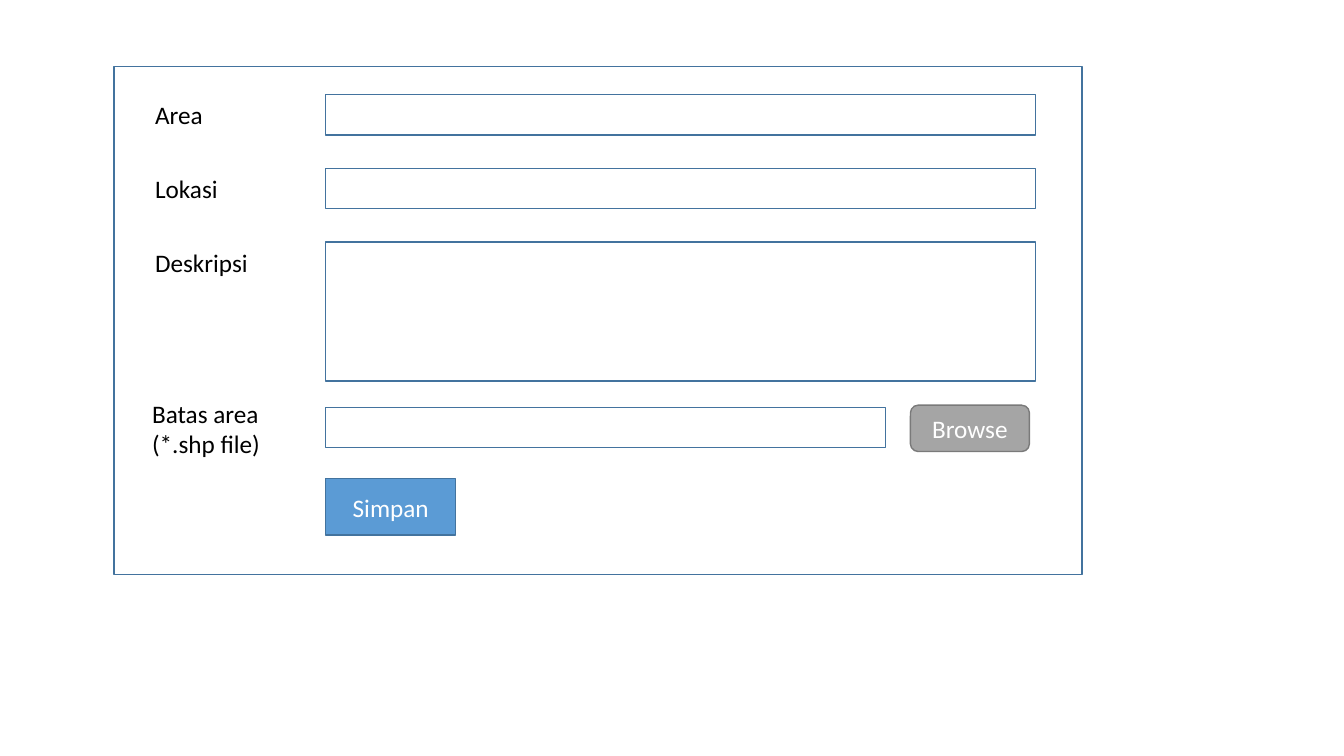
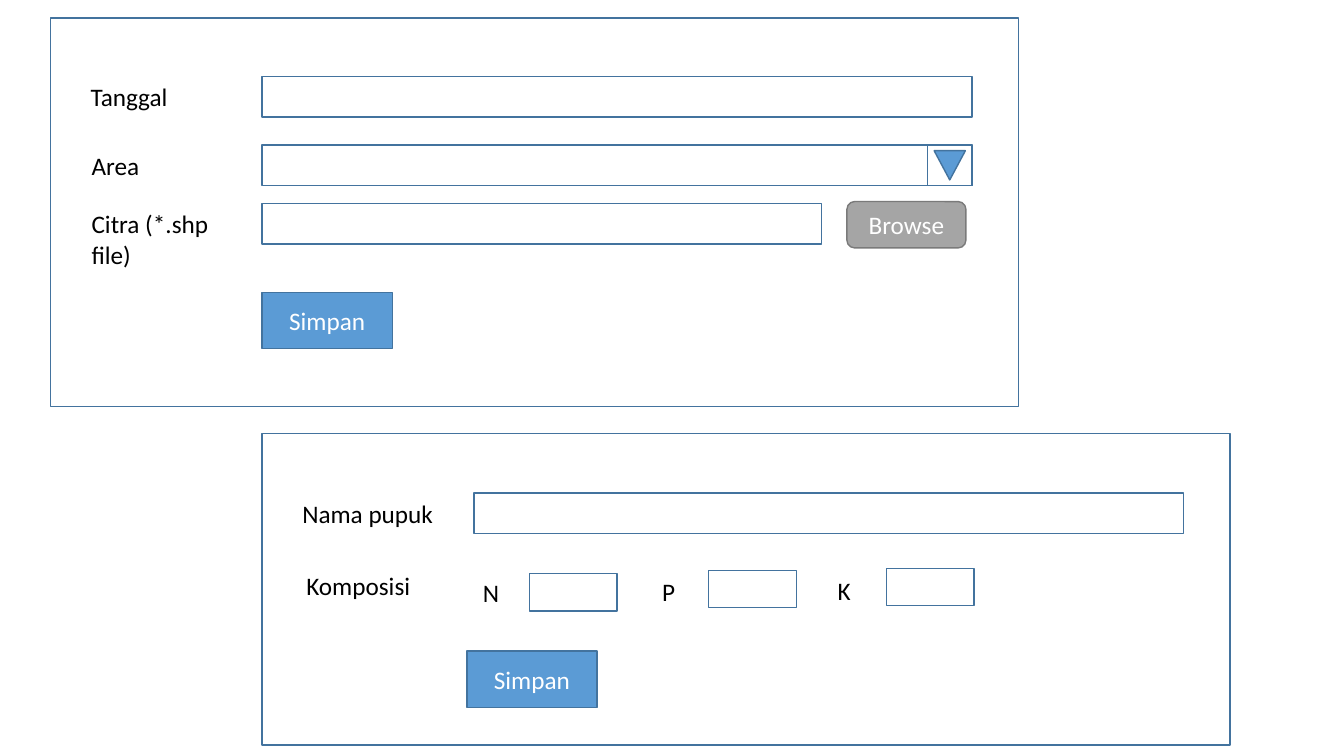
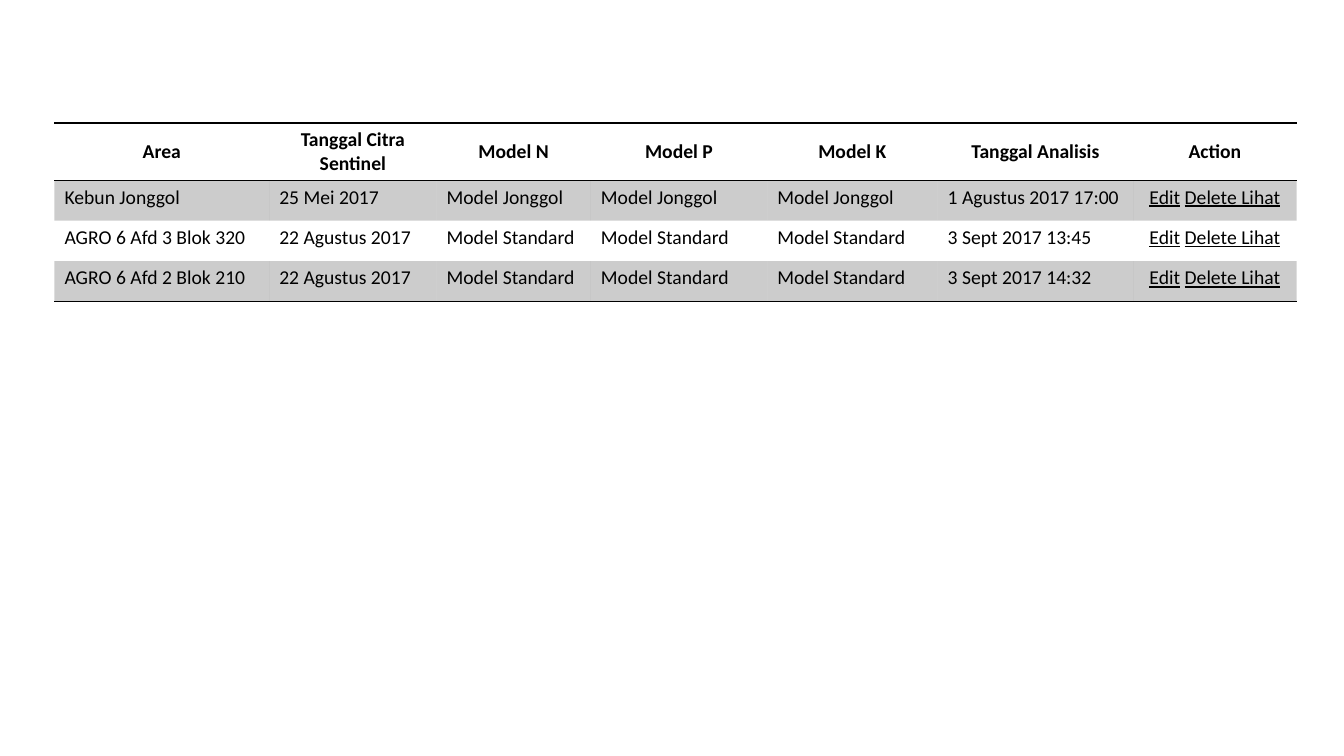
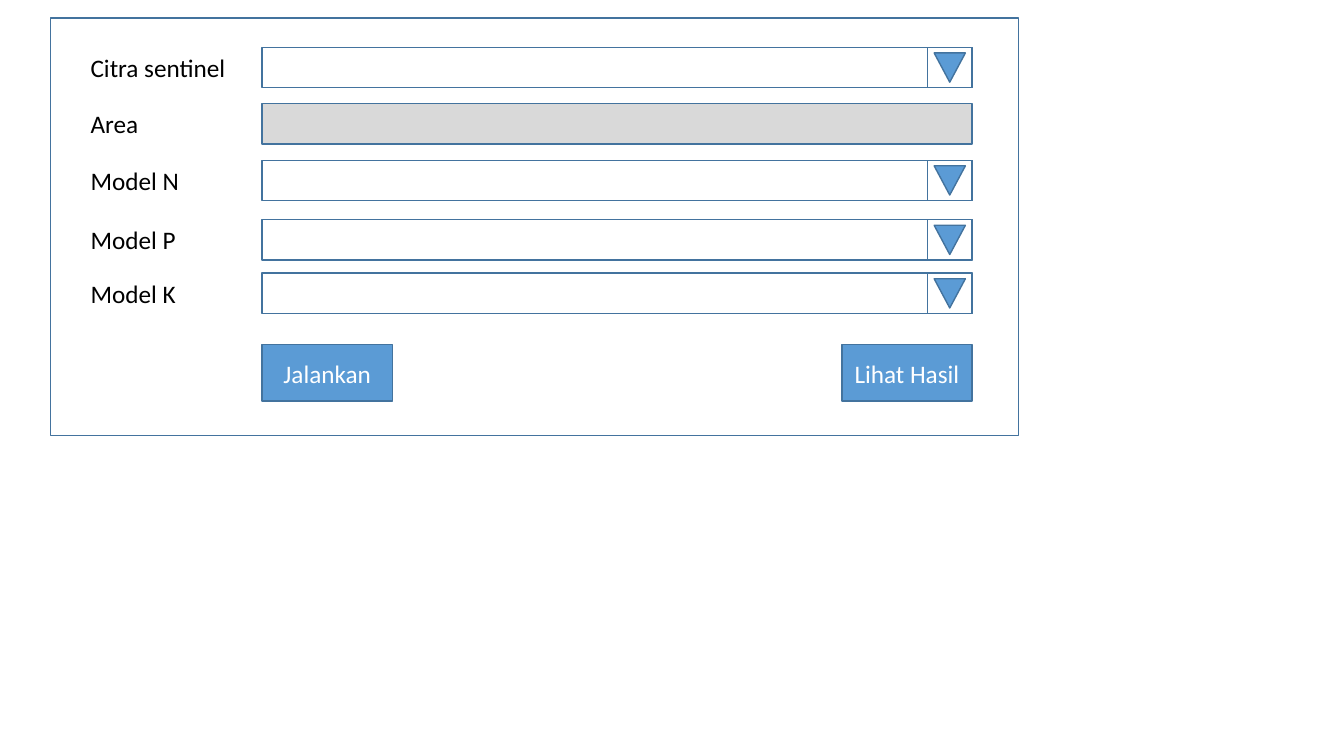
from lxml import etree
from pptx import Presentation
from pptx.dml.color import RGBColor
from pptx.enum import shapes, text
from pptx.oxml.ns import qn
from pptx.util import Inches, Pt

# Content: all lengths in inches
FONT = "Calibri"
COLORS = {"black": "000000", "white": "FFFFFF", "blue": "5B9BD5", "outline": "43739E",
          "gray": "A5A5A5", "gray_outline": "7A7A7A", "locked": "D9D9D9"}

# Panel: left, top, height
# Row: label, label left, label top, label width, field kind, field top
# Button: caption, left, top
AREA_FORM = {
    "panel": (1.13, 0.66, 5.04),
    "rows": [("Area", 1.44, 0.94, 0.68, "input", 0.94),
             ("Lokasi", 1.44, 1.67, 0.83, "input", 1.67),
             ("Deskripsi", 1.44, 2.4, 1.13, "memo", 2.4),
             ("Batas area\n(*.shp file)", 1.41, 3.9, 1.55, "file", 4.04)],
    "buttons": [("Simpan", 3.23, 4.75)],
}
IMAGERY_FORM = {
    "panel": (0.5, 0.18, 3.85),
    "rows": [("Tanggal", 0.8, 0.76, 0.97, "input", 0.76),
             ("Area", 0.81, 1.44, 0.68, "dropdown", 1.44),
             ("Citra (*.shp file)", 0.81, 2.02, 1.55, "file", 2.02)],
    "buttons": [("Simpan", 2.6, 2.9)],
}
FERTILIZER_FORM = {
    "panel": (2.6, 4.3, 3.09),
    "rows": [("Nama pupuk", 2.9, 4.89, 1.51, "input", 4.89),
             ("Komposisi", 2.94, 5.61, 1.24, None, None)],
    "buttons": [("Simpan", 4.63, 6.46)],
}
# Nutrient: symbol, label left, label top, box left, box top
NUTRIENTS = [("N", 4.69, 5.68, 5.25, 5.69),
             ("P", 6.47, 5.67, 7.03, 5.66),
             ("K", 8.21, 5.66, 8.79, 5.64)]
ANALYSIS_FORM = {
    "panel": (0.5, 0.18, 4.14),
    "rows": [("Citra sentinel", 0.8, 0.47, 1.55, "dropdown", 0.47),
             ("Area", 0.8, 1.03, 0.68, "locked", 1.03),
             ("Model N", 0.8, 1.59, 1.09, "dropdown", 1.59),
             ("Model P", 0.8, 2.18, 1.09, "dropdown", 2.18),
             ("Model K", 0.8, 2.71, 1.06, "dropdown", 2.71)],
    "buttons": [("Jalankan", 2.6, 3.42), ("Lihat Hasil", 8.35, 3.42)],
}

HEADERS = ["Area", "Tanggal Citra Sentinel", "Model N", "Model P", "Model K",
           "Tanggal Analisis", "Action"]
ANALYSES = [
    ("Kebun Jonggol", "25 Mei 2017", "Model Jonggol", "1 Agustus 2017 17:00"),
    ("AGRO 6 Afd 3 Blok 320", "22 Agustus 2017", "Model Standard", "3 Sept 2017 13:45"),
    ("AGRO 6 Afd 2 Blok 210", "22 Agustus 2017", "Model Standard", "3 Sept 2017 14:32"),
]
ACTIONS = [("Edit", True), (" ", False), ("Delete Lihat", True)]
COLUMN_WIDTHS = [2.13, 1.66, 1.53, 1.75, 1.69, 1.94, 1.62]
HEADER_HEIGHT, ROW_HEIGHT = 0.57, 0.4
PLAIN_TABLE = "{2D5ABB26-0587-4C30-8999-92F81FD0307C}"

# Form measures; offsets run from the panel's left edge
PANEL_WIDTH = 9.6
FIELD_OFFSET, FIELD_WIDTH, FIELD_HEIGHT = 2.1, 7.04, 0.4
MEMO_HEIGHT, FILE_WIDTH = 1.38, 5.55
BROWSE_OFFSET, DROP_OFFSET, DROP_WIDTH = 7.9, 8.7, 0.44
ARROW_WIDTH, ARROW_HEIGHT = 0.31, 0.29
BUTTON_SIZE, NUTRIENT_SIZE = (1.29, 0.56), (0.87, 0.37)
BOX = shapes.MSO_SHAPE.FLOWCHART_PROCESS
ARROW = shapes.MSO_SHAPE.FLOWCHART_MERGE
ROUNDED = shapes.MSO_SHAPE.ROUNDED_RECTANGLE


def rgb(name):
    return RGBColor.from_string(COLORS[name])


def write(frame, content, size=18, color="black", bold=False, center=False):
    """Fill a frame; content is a string or a list of (words, underline) runs."""
    lines = [[(line, False)] for line in content.split("\n")] \
        if isinstance(content, str) else [content]
    for i, line in enumerate(lines):
        para = frame.add_paragraph() if i else frame.paragraphs[0]
        para.alignment = text.PP_ALIGN.CENTER if center else text.PP_ALIGN.LEFT
        for words, underline in line:
            run = para.add_run()
            run.text = words
            run.font.name, run.font.size = FONT, Pt(size)
            run.font.bold, run.font.underline = bold, underline
            run.font.color.rgb = rgb(color)


def draw(slide, preset, left, top, width, height, fill=None, line="outline", caption=None):
    shape = slide.shapes.add_shape(preset, *map(Inches, (left, top, width, height)))
    shape.shadow.inherit = False
    if fill:
        shape.fill.solid()
        shape.fill.fore_color.rgb = rgb(fill)
    else:
        shape.fill.background()
    shape.line.color.rgb, shape.line.width = rgb(line), Pt(1)
    if caption:
        shape.text_frame.vertical_anchor = text.MSO_ANCHOR.MIDDLE
        write(shape.text_frame, caption, color="white", center=True)


def add_label(slide, words, left, top, width, wrap=False):
    height = 0.71 if wrap else 0.4
    frame = slide.shapes.add_textbox(*map(Inches, (left, top, width, height))).text_frame
    frame.word_wrap = wrap
    frame.auto_size = text.MSO_AUTO_SIZE.SHAPE_TO_FIT_TEXT
    write(frame, words)


def add_field(slide, kind, panel_left, top):
    width = FILE_WIDTH if kind == "file" else FIELD_WIDTH
    height = MEMO_HEIGHT if kind == "memo" else FIELD_HEIGHT
    draw(slide, BOX, panel_left + FIELD_OFFSET, top, width, height,
         fill="locked" if kind == "locked" else None)
    if kind == "file":
        draw(slide, ROUNDED, panel_left + BROWSE_OFFSET, top - 0.02, 1.18, 0.46,
             fill="gray", line="gray_outline", caption="Browse")
    if kind == "dropdown":
        drop_left = panel_left + DROP_OFFSET
        draw(slide, ARROW, drop_left + (DROP_WIDTH - ARROW_WIDTH) / 2,
             top + (FIELD_HEIGHT - ARROW_HEIGHT) / 2, ARROW_WIDTH, ARROW_HEIGHT, fill="blue")
        draw(slide, BOX, drop_left, top, DROP_WIDTH, FIELD_HEIGHT)


def add_form(slide, form):
    panel_left, panel_top, panel_height = form["panel"]
    draw(slide, BOX, panel_left, panel_top, PANEL_WIDTH, panel_height)
    for words, left, top, width, kind, field_top in form["rows"]:
        add_label(slide, words, left, top, width, wrap=kind == "file")
        if kind:
            add_field(slide, kind, panel_left, field_top)
    for caption, left, top in form["buttons"]:
        draw(slide, BOX, left, top, *BUTTON_SIZE, fill="blue", caption=caption)


def add_rule(cell, side):
    rule = etree.SubElement(cell._tc.get_or_add_tcPr(), qn("a:" + side), w=str(Pt(1)))
    paint = etree.SubElement(rule, qn("a:solidFill"))
    etree.SubElement(paint, qn("a:srgbClr"), val=COLORS["black"])


def shade(cell, banded):
    if not banded:
        cell.fill.background()
        return
    cell.fill.solid()
    cell.fill.fore_color.rgb = rgb("black")
    tint = cell._tc.tcPr.find(".//" + qn("a:solidFill") + "[last()]")
    tint = cell._tc.tcPr.find(qn("a:solidFill")) if tint is None else tint
    etree.SubElement(cell._tc.tcPr.find(qn("a:solidFill"))[0], qn("a:alpha"), val="20000")


def add_analysis_table(slide):
    records = [HEADERS] + [(area, date, model, model, model, analysed, ACTIONS)
                           for area, date, model, analysed in ANALYSES]
    heights = [HEADER_HEIGHT] + [ROW_HEIGHT] * len(ANALYSES)
    table_frame = slide.shapes.add_table(
        len(records), len(HEADERS), Inches(0.54), Inches(1.22),
        Inches(sum(COLUMN_WIDTHS)), Inches(sum(heights)))
    table = table_frame.table
    table._tbl.tblPr.find(qn("a:tableStyleId")).text = PLAIN_TABLE
    for column, width in zip(table.columns, COLUMN_WIDTHS):
        column.width = Inches(width)
    for r, record in enumerate(records):
        table.rows[r].height = Inches(heights[r])
        header, last = r == 0, r == len(records) - 1
        for c, content in enumerate(record):
            cell = table.cell(r, c)
            if header:
                cell.vertical_anchor = text.MSO_ANCHOR.MIDDLE
                add_rule(cell, "lnT")
            if header or last:
                add_rule(cell, "lnB")
            shade(cell, banded=r % 2 == 1)
            write(cell.text_frame, content, size=14, bold=header,
                  center=header or content is ACTIONS)


# Slides
deck = Presentation()
deck.slide_width, deck.slide_height = Inches(13.33), Inches(7.5)
area_slide, input_slide, result_slide, analysis_slide = (
    deck.slides.add_slide(deck.slide_layouts[6]) for _ in range(4))

add_form(area_slide, AREA_FORM)

add_form(input_slide, IMAGERY_FORM)
add_form(input_slide, FERTILIZER_FORM)
for symbol, label_left, label_top, box_left, box_top in NUTRIENTS:
    add_label(input_slide, symbol, label_left, label_top, 0.4)
    draw(input_slide, BOX, box_left, box_top, *NUTRIENT_SIZE)

add_analysis_table(result_slide)

add_form(analysis_slide, ANALYSIS_FORM)

deck.save("out.pptx")
